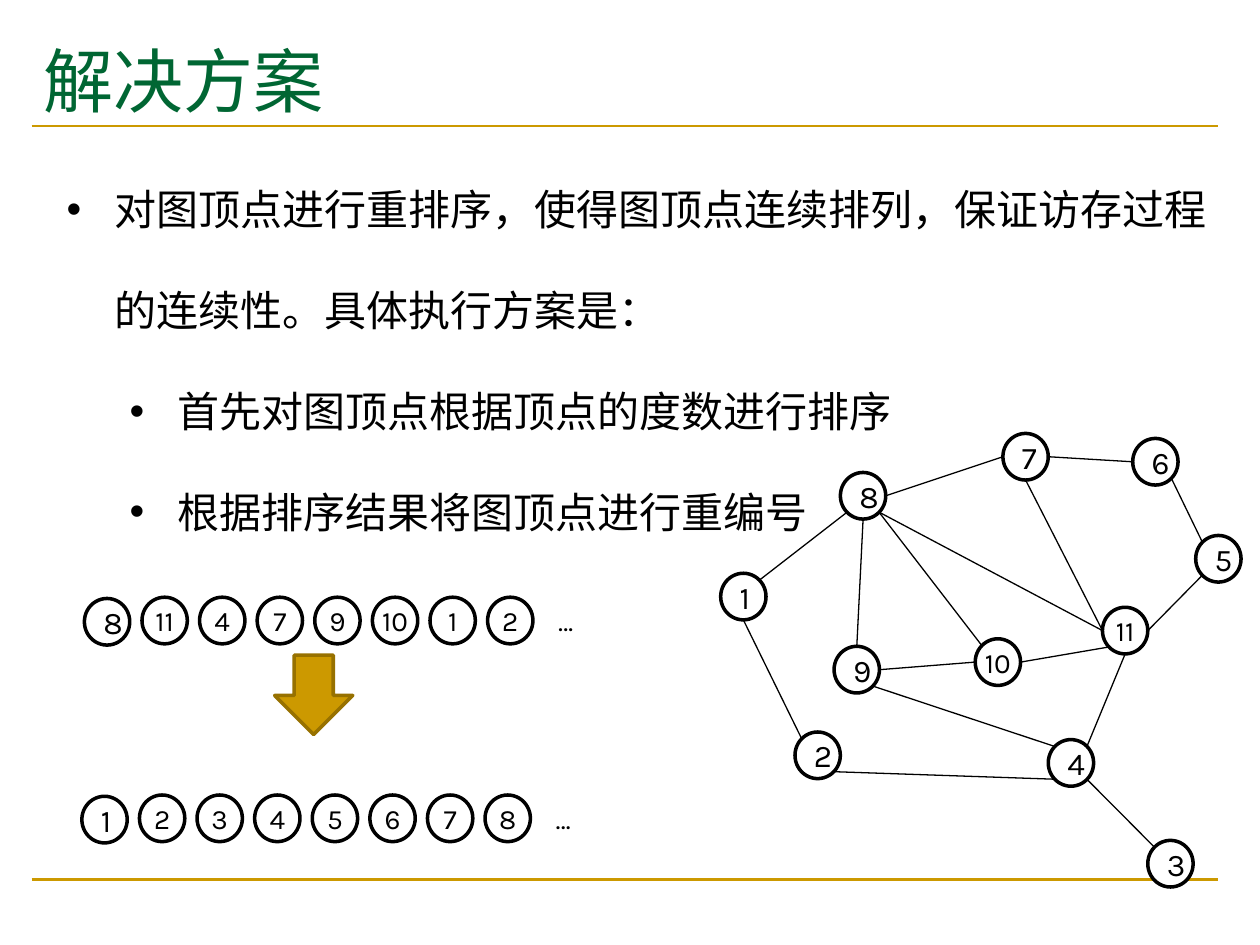
from lxml.etree import SubElement
from pptx import Presentation
from pptx.dml.color import RGBColor
from pptx.enum.shapes import MSO_CONNECTOR, MSO_SHAPE
from pptx.enum.text import MSO_ANCHOR, PP_ALIGN
from pptx.oxml.ns import qn
from pptx.util import Inches, Pt

BLACK = RGBColor(0x00, 0x00, 0x00)
WHITE = RGBColor(0xFF, 0xFF, 0xFF)
GREEN = RGBColor(0x00, 0x66, 0x33)
GOLD = RGBColor(0xCC, 0x99, 0x00)
DARK_GOLD = RGBColor(0x97, 0x71, 0x00)

HEADING_FONT = "DejaVu Sans"
VERTEX_FONT = "Karla"
VERTEX_WIDTH = 0.36
VERTEX_HEIGHT = 0.37
ROW_PITCH = 3.2 / 7
ELLIPSIS_OFFSET = 3.64

SITES = {
    "n": (0.5, 0), "s": (0.5, 1), "w": (0, 0.5), "e": (1, 0.5),
    "nw": (0.15, 0.15), "ne": (0.85, 0.15),
    "sw": (0.15, 0.85), "se": (0.85, 0.85),
}

VERTICES = {
    1: (5.72, 4.55), 2: (6.31, 5.81), 3: (9.11, 6.67), 4: (8.32, 5.87),
    5: (9.49, 4.25), 6: (8.99, 3.48), 7: (7.96, 3.44), 8: (6.67, 3.75),
    9: (6.62, 5.13), 10: (7.74, 5.07), 11: (8.75, 4.82),
}

EDGES = [
    (8, "sw", 1, "ne"), (10, "w", 9, "e"), (7, "w", 8, "e"),
    (5, "sw", 11, "e"), (11, "w", 7, "s"), (11, "w", 8, "se"),
    (11, "sw", 10, "e"), (10, "nw", 8, "se"), (9, "n", 8, "s"),
    (2, "nw", 1, "s"), (4, "sw", 2, "se"), (4, "ne", 11, "s"),
    (3, "nw", 4, "se"), (4, "nw", 9, "se"), (5, "nw", 6, "se"),
    (6, "w", 7, "e"),
]

BODY = [
    ("对图顶点进行重排序，使得图顶点连续排列，保证访存过程的连续性。具体执行方案是：", 0),
    ("首先对图顶点根据顶点的度数进行排序", 1),
    ("根据排序结果将图顶点进行重编号", 1),
]


def write_text(paragraph, text, *, size, font, color, align=PP_ALIGN.LEFT, spacing=None):
    paragraph.alignment = align
    if spacing:
        paragraph.line_spacing = spacing
    run = paragraph.add_run()
    run.text = text
    run.font.size = Pt(size)
    run.font.name = font
    run.font.color.rgb = color
    SubElement(run.font._element, qn("a:ea")).set("typeface", font)


def add_bullet(paragraph, level):
    paragraph.level = level
    properties = paragraph._p.get_or_add_pPr()
    properties.set("marL", str(Inches(0.38 + 0.5 * level)))
    properties.set("indent", str(Inches(-0.38)))
    SubElement(properties, qn("a:buFont")).set("typeface", "Arial")
    SubElement(properties, qn("a:buChar")).set("char", "•")


def add_text_frame(slide, left, top, width, height):
    box = slide.shapes.add_textbox(Inches(left), Inches(top), Inches(width), Inches(height))
    box.text_frame.word_wrap = True
    return box.text_frame


def add_line(slide, start, end, color, weight):
    line = slide.shapes.add_connector(
        MSO_CONNECTOR.STRAIGHT, *(Inches(value) for value in (*start, *end)))
    line.line.color.rgb = color
    line.line.width = Pt(weight)
    SubElement(line._element.spPr, qn("a:effectLst"))


def add_filled(slide, preset, left, top, width, height, fill, outline):
    shape = slide.shapes.add_shape(
        preset, Inches(left), Inches(top), Inches(width), Inches(height))
    shape.shadow.inherit = False
    shape.fill.solid()
    shape.fill.fore_color.rgb = fill
    if outline is None:
        shape.line.fill.background()
    else:
        shape.line.color.rgb = outline
        shape.line.width = Pt(2)
    return shape


def add_vertex(slide, label, left, top, *, compact, outline=BLACK):
    vertex = add_filled(slide, MSO_SHAPE.OVAL, left, top,
                        VERTEX_WIDTH, VERTEX_HEIGHT, WHITE, outline)
    frame = vertex.text_frame
    frame.word_wrap = True
    frame.vertical_anchor = MSO_ANCHOR.MIDDLE
    if compact:
        frame.margin_left = frame.margin_right = 0
        frame.margin_top = frame.margin_bottom = 0
    write_text(frame.paragraphs[0], str(label), size=16 if compact else 18,
               font=VERTEX_FONT, color=BLACK, align=PP_ALIGN.CENTER)


def add_vertex_row(slide, labels, left, top):
    add_vertex(slide, "…", left + ELLIPSIS_OFFSET, top, compact=True, outline=None)
    for index, label in enumerate(labels):
        first = index == 0
        add_vertex(slide, label, left + index * ROW_PITCH,
                   top + 0.01 if first else top, compact=not first)


def site_position(vertex, site):
    left, top = VERTICES[vertex]
    across, down = SITES[site]
    return left + across * VERTEX_WIDTH, top + down * VERTEX_HEIGHT


def add_graph(slide):
    for label, (left, top) in VERTICES.items():
        add_vertex(slide, label, left, top, compact=label >= 10)
    for start, start_site, end, end_site in EDGES:
        add_line(slide, site_position(start, start_site),
                 site_position(end, end_site), BLACK, 0.75)


def add_title(slide, text):
    frame = add_text_frame(slide, 0.25, 0.28, 9.42, 0.71)
    frame.vertical_anchor = MSO_ANCHOR.MIDDLE
    write_text(frame.paragraphs[0], text, size=40, font=HEADING_FONT, color=GREEN)


def add_body(slide):
    frame = add_text_frame(slide, 0.43, 1.01, 9.45, 3.33)
    for index, (text, level) in enumerate(BODY):
        paragraph = frame.add_paragraph() if index else frame.paragraphs[0]
        add_bullet(paragraph, level)
        write_text(paragraph, text, size=24, font=HEADING_FONT, color=BLACK, spacing=2.0)


def main():
    deck = Presentation()
    deck.slide_width = Inches(10)
    deck.slide_height = Inches(7.5)
    slide = deck.slides.add_slide(deck.slide_layouts[6])

    for rule_top in (6.98, 1):
        add_line(slide, (0.25, rule_top), (9.67, rule_top), GOLD, 1.5)
    add_title(slide, "解决方案")
    add_body(slide)
    add_graph(slide)
    add_vertex_row(slide, (8, 11, 4, 7, 9, 10, 1, 2), 0.67, 4.74)
    add_filled(slide, MSO_SHAPE.DOWN_ARROW, 2.18, 5.2, 0.62, 0.63, GOLD, DARK_GOLD)
    add_vertex_row(slide, range(1, 9), 0.65, 6.31)

    deck.save("out.pptx")


if __name__ == "__main__":
    main()
